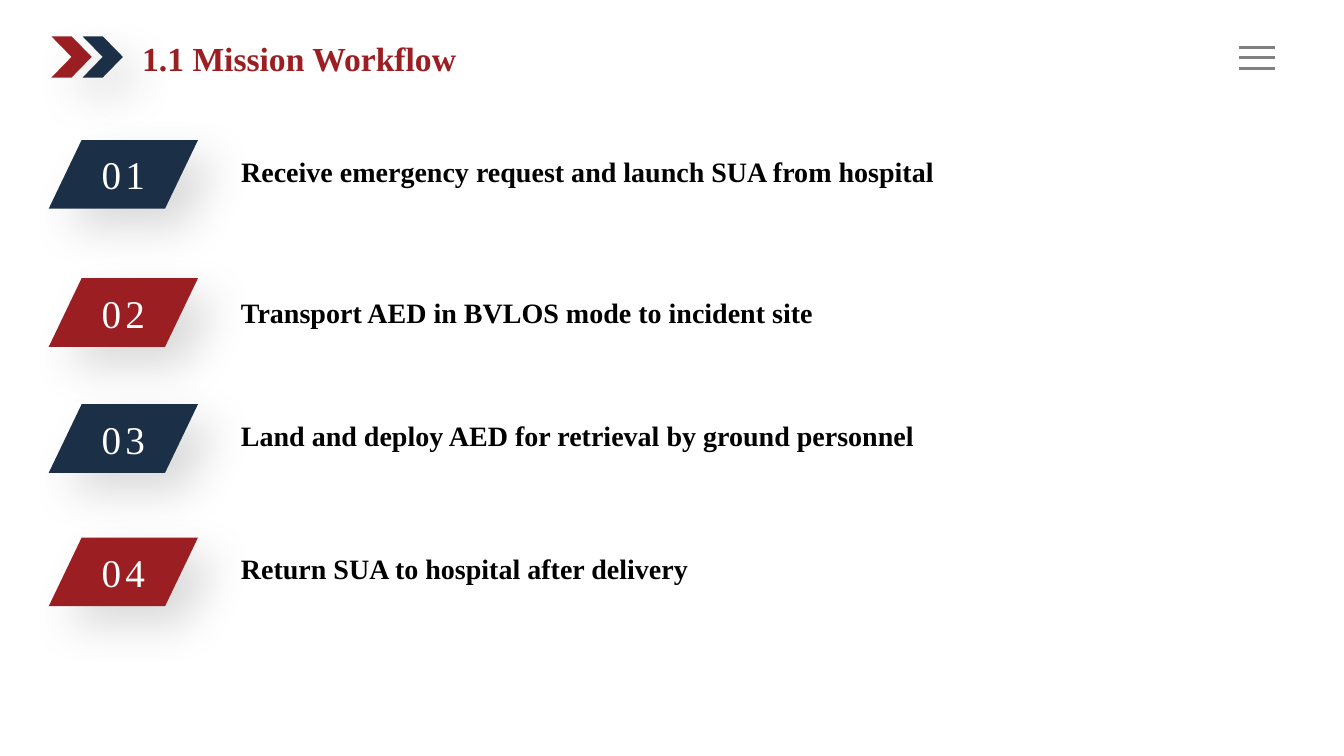
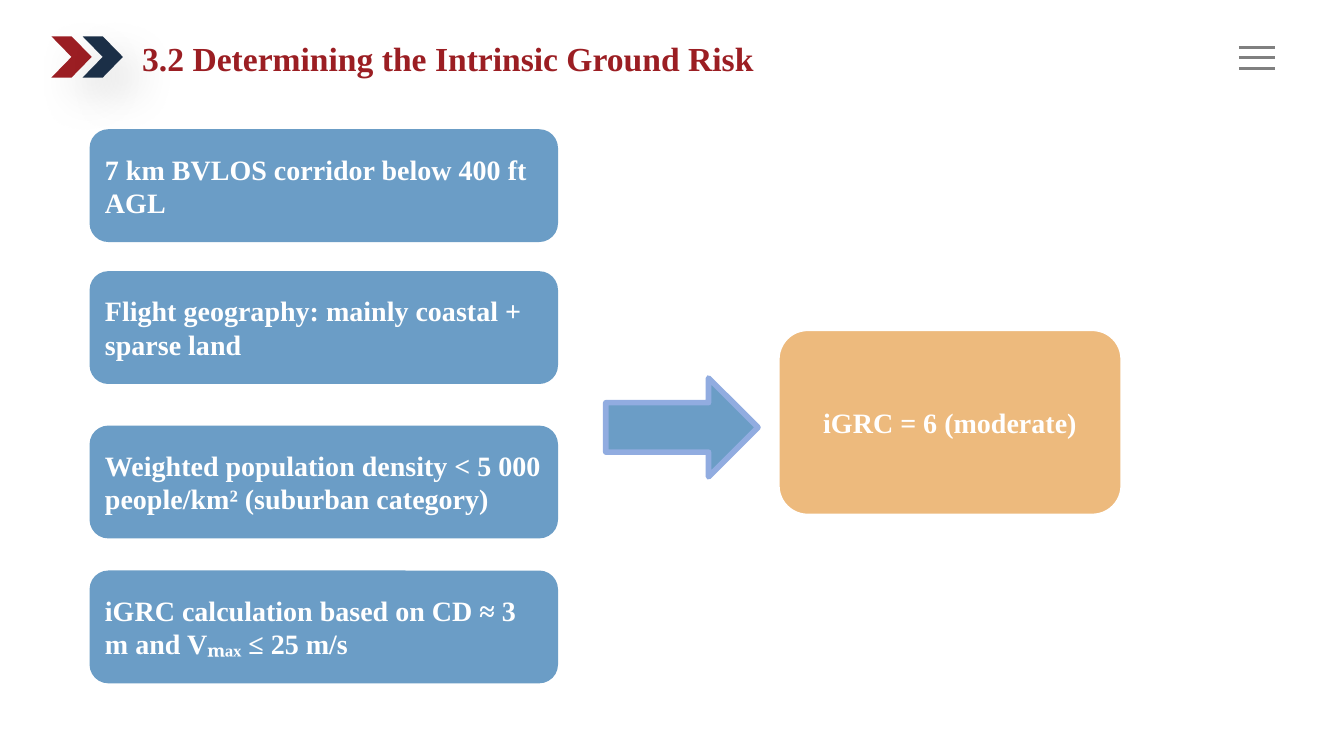
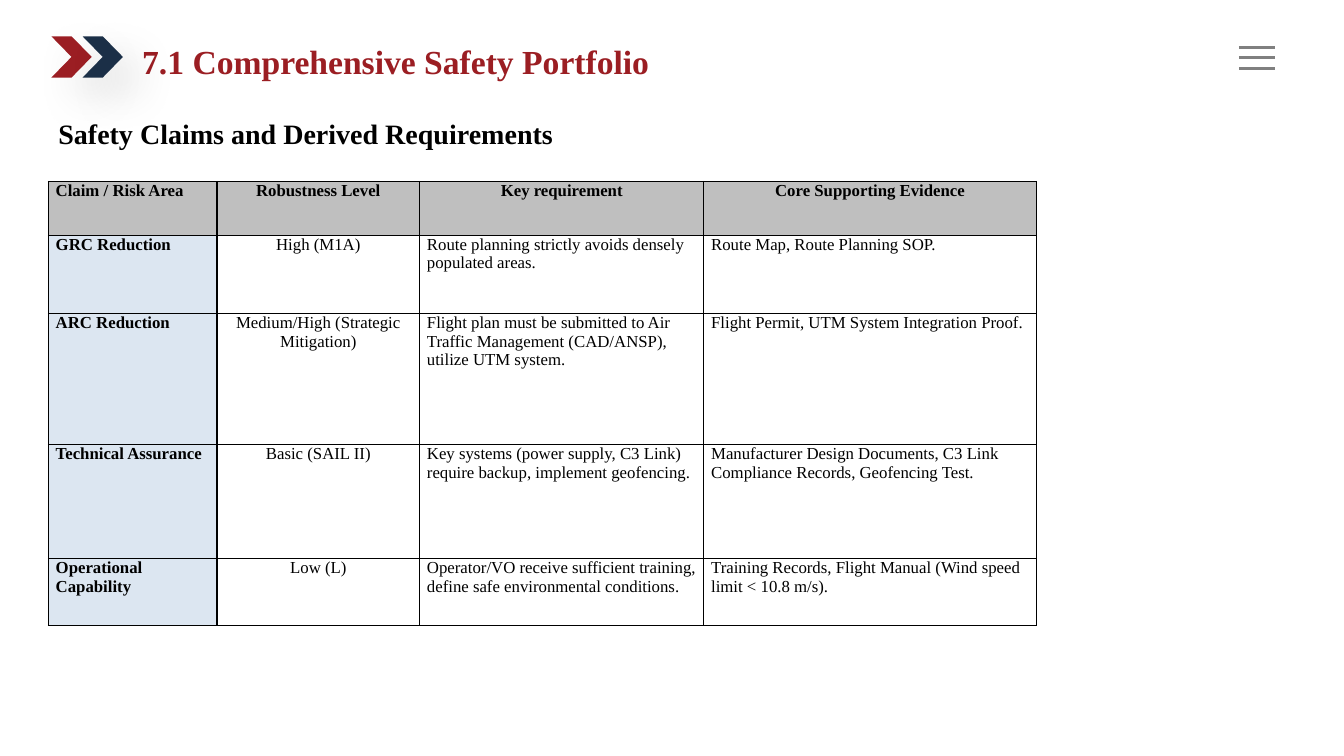
"""Build three slides on a drone mission and its safety case."""
from typing import NamedTuple

from lxml.etree import SubElement as Sub
from pptx import Presentation
from pptx.dml.color import RGBColor as Rgb
from pptx.enum.shapes import MSO_CONNECTOR as Link, MSO_SHAPE as Form
from pptx.enum.text import MSO_ANCHOR as Anchor, MSO_AUTO_SIZE as Fit, PP_ALIGN as Align
from pptx.oxml import parse_xml
from pptx.oxml.ns import nsdecls, qn
from pptx.util import Pt

FONT = "Times New Roman"
HUES = {
    "red": "9B1E23", "navy": "1B2F47", "blue": "6B9DC6", "edge": "91ACE0",
    "sand": "EDBA7D", "gray": "808080", "head": "BFBFBF", "pale": "DCE6F1",
    "white": "FFFFFF", "black": "000000",
}


class Box(NamedTuple):
    left: float
    top: float
    width: float
    height: float


class Step(NamedTuple):
    text: str
    tag_top: float
    text_top: float


class Card(NamedTuple):
    text: str
    top: float


STEPS = [
    Step("Receive emergency request and launch SUA from hospital", 100, 109.4),
    Step("Transport AED in BVLOS mode to incident site", 198.7, 210.2),
    Step("Land and deploy AED for retrieval by ground personnel", 288.7, 298),
    Step("Return SUA to hospital after delivery", 384, 393),
]
CARDS = [
    Card("7 km BVLOS corridor below 400 ft AGL", 92.3),
    Card("Flight geography: mainly coastal + sparse land", 193.7),
    Card("Weighted population density < 5 000 people/km² (suburban category)", 304),
    Card("iGRC calculation based on CD ≈ 3 m and Vₘₐₓ ≤ 25 m/s", 407.5),
]
COLS = [120.4, 144.8, 203, 237.6]
ROWS = [38.5, 56, 93.6, 81.5, 47.5]
CLAIMS = [
    ("Claim / Risk Area", "Robustness Level", "Key requirement", "Core Supporting Evidence"),
    ("GRC Reduction", "High (M1A)",
     "Route planning strictly avoids densely populated areas.",
     "Route Map, Route Planning SOP."),
    ("ARC Reduction", "Medium/High (Strategic Mitigation)",
     "Flight plan must be submitted to Air Traffic Management (CAD/ANSP), utilize UTM system.",
     "Flight Permit, UTM System Integration Proof."),
    ("Technical Assurance", "Basic (SAIL II)",
     "Key systems (power supply, C3 Link) require backup, implement geofencing.",
     "Manufacturer Design Documents, C3 Link Compliance Records, Geofencing Test."),
    ("Operational Capability", "Low (L)",
     "Operator/VO receive sufficient training, define safe environmental conditions.",
     "Training Records, Flight Manual (Wind speed limit < 10.8 m/s)."),
]


def hue(name: str) -> Rgb:
    return Rgb.from_string(HUES[name])


def place(item, box: Box) -> None:
    item.left, item.top, item.width, item.height = map(Pt, box)


def put(frame, text: str, *, size=20, color="black", bold=True, align=Align.LEFT,
        anchor=Anchor.TOP, lead=1.0, gap=0) -> None:
    frame.word_wrap = True
    frame.vertical_anchor = anchor
    par = frame.paragraphs[0]
    props = par._p.get_or_add_pPr()
    props.set("marL", "0")
    props.set("indent", "0")
    Sub(props, qn("a:buNone"))
    par.alignment, par.line_spacing, par.space_before = align, lead, Pt(0)
    run = par.add_run()
    run.text = text
    font = run.font
    font.name, font.size, font.bold = FONT, Pt(size), bold
    font.color.rgb = hue(color)
    if gap:
        run._r.get_or_add_rPr().set("spc", str(gap * 100))


def draw(slide, form, box: Box, fill: str, edge="", width=0, shade=False):
    shape = slide.shapes.add_shape(form, *map(Pt, box))
    shape.fill.solid()
    shape.fill.fore_color.rgb = hue(fill)
    if edge:
        shape.line.color.rgb = hue(edge)
        shape.line.width = Pt(width)
    else:
        shape.line.fill.background()
    shape.shadow.inherit = False
    if shade:
        glow = Sub(shape.element.spPr.find(qn("a:effectLst")), qn("a:outerShdw"),
                   blurRad=str(Pt(32)), dist=str(Pt(19)), dir="2700000",
                   algn="tl", rotWithShape="0")
        tint = Sub(glow, qn("a:srgbClr"), val=HUES["black"])
        Sub(tint, qn("a:alpha"), val="14000")
    return shape


def note(slide, box: Box, text: str, **style) -> None:
    put(slide.shapes.add_textbox(*map(Pt, box)).text_frame, text, **style)


def start(deck, plan: int, title: str, box=Box(94.3, 15.8, 507, 54.7)):
    slide = deck.slides.add_slide(deck.slide_layouts[plan])
    for left, fill in ((36.7, "red"), (59, "navy")):
        draw(slide, Form.CHEVRON, Box(left, 25.9, 28.8, 29.5), fill, shade=True)
    for row in range(3):
        y = Pt(33.8 + 7.5 * row)
        bar = slide.shapes.add_connector(Link.STRAIGHT, Pt(885), y, Pt(911), y)
        bar.line.color.rgb = hue("gray")
        bar.line.width = Pt(2.25)
        Sub(bar.element.spPr, qn("a:effectLst"))
    head = slide.shapes.title
    place(head, box)
    head.text_frame.auto_size = Fit.NONE
    put(head.text_frame, title, size=24, color="red", anchor=Anchor.MIDDLE, lead=0.9)
    return slide


def flow(deck) -> None:
    slide = start(deck, 1, "1.1 Mission Workflow")
    for num, step in enumerate(STEPS, 1):
        tag = draw(slide, Form.PARALLELOGRAM, Box(34.8, step.tag_top, 106.6, 49),
                   "navy" if num % 2 else "red", shade=True)
        tag.adjustments[0] = 0.48
        put(tag.text_frame, f"{num:02}", size=28, color="white", bold=False,
            align=Align.CENTER, anchor=Anchor.MIDDLE, gap=3)
        box = Box(165, step.text_top, 551.5, 34.6)
        if num == 1:
            body = slide.placeholders[1]
            place(body, box)
            body.text_frame.auto_size = Fit.NONE
            put(body.text_frame, step.text, lead=0.9)
        else:
            note(slide, box, step.text, lead=0.9)


def risk(deck) -> None:
    slide = start(deck, 5, "3.2 Determining the Intrinsic Ground Risk")
    for card in CARDS:
        shape = draw(slide, Form.ROUNDED_RECTANGLE, Box(64, card.top, 334.6, 80.6), "blue")
        put(shape.text_frame, card.text, color="white", anchor=Anchor.MIDDLE)
    score = draw(slide, Form.ROUNDED_RECTANGLE, Box(554.4, 234, 248.4, 135.4),
                 "sand", "white", 5)
    put(score.text_frame, "iGRC = 6 (moderate)", color="white",
        align=Align.CENTER, anchor=Anchor.MIDDLE)
    draw(slide, Form.RIGHT_ARROW, Box(432.7, 270, 108.7, 70.6), "blue", "edge", 4)


def frame_cell(cell) -> None:
    props = cell._tc.get_or_add_tcPr()
    for spot, side in enumerate("LRTB"):
        props.insert(spot, parse_xml(
            f'<a:ln{side} {nsdecls("a")} w="{Pt(1)}"><a:solidFill>'
            f'<a:srgbClr val="{HUES["black"]}"/></a:solidFill></a:ln{side}>'))


def claims(deck) -> None:
    slide = start(deck, 5, "7.1 Comprehensive Safety Portfolio", Box(94.3, 15.8, 427.7, 59.8))
    box = Box(34.6, 129.6, sum(COLS), sum(ROWS))
    grid = slide.shapes.add_table(len(ROWS), len(COLS), *map(Pt, box)).table
    grid.first_row = grid.horz_banding = False
    for col, width in zip(grid.columns, COLS):
        col.width = Pt(width)
    for y, (row, height) in enumerate(zip(grid.rows, ROWS)):
        row.height = Pt(height)
        for x, cell in enumerate(row.cells):
            if y and x:
                cell.fill.background()
            else:
                cell.fill.solid()
                cell.fill.fore_color.rgb = hue("pale" if y else "head")
            frame_cell(cell)
            cell.margin_left = cell.margin_right = Pt(5.2)
            cell.margin_top = cell.margin_bottom = Pt(0)
            mid = x == 1 or (y == 0 and x > 0)
            put(cell.text_frame, CLAIMS[y][x], size=12, bold=not (x and y),
                align=Align.CENTER if mid else Align.LEFT)
    note(slide, Box(34.6, 80, 839.5, 31.7), "Safety Claims and Derived Requirements")


def main() -> None:
    deck = Presentation()
    deck.slide_width, deck.slide_height = Pt(960), Pt(540)
    for build in (flow, risk, claims):
        build(deck)
    deck.save("out.pptx")


if __name__ == "__main__":
    main()
